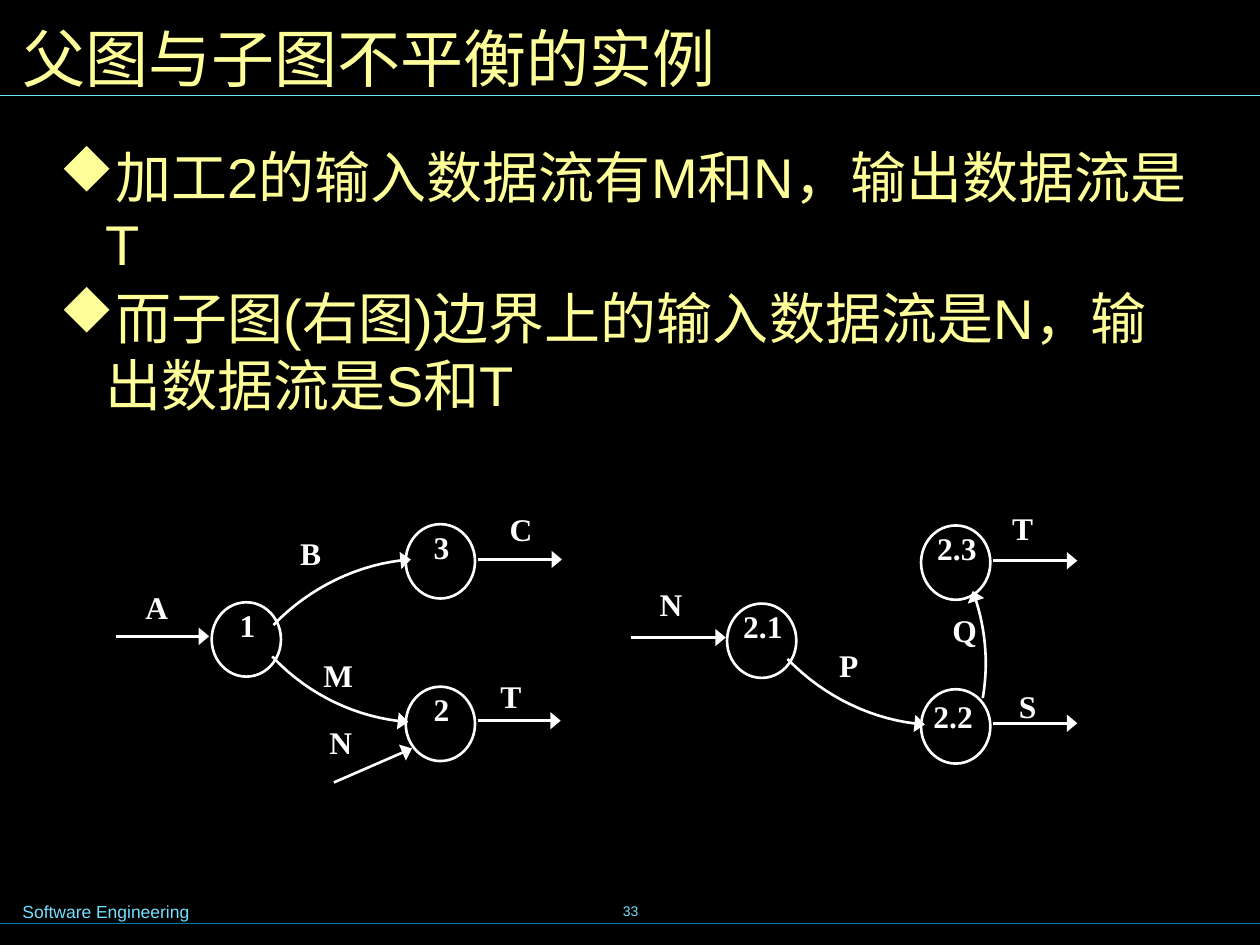
import pptx
import pptx.util
import pptx.dml.color
import pptx.enum.shapes
import pptx.enum.text
import pptx.oxml.ns
from dataclasses import dataclass
from lxml import etree
from pptx.util import Inches

PP_ALIGN = pptx.enum.text.PP_ALIGN
ANCHOR = pptx.enum.text.MSO_ANCHOR
SHAPE = pptx.enum.shapes.MSO_SHAPE
CONNECTOR = pptx.enum.shapes.MSO_CONNECTOR
qn = pptx.oxml.ns.qn


@dataclass(frozen=True)
class Theme:
    background: str = "000000"
    text: str = "FFFF99"
    accent: str = "73E1FF"
    footer_rule: str = "007E9F"
    diagram: str = "FFFFFF"
    title_font: str = "Arial Narrow"
    body_font: str = "Arial"
    label_font: str = "Times New Roman"
    bullet_font: str = "Wingdings"
    title_size: int = 36
    body_size: int = 32
    label_size: int = 18
    footer_size: int = 10
    number_size: int = 8
    rule_width: float = 0.75
    diagram_width: float = 1.5


THEME = Theme()
NODE_W, NODE_H = 0.55, 0.59
DIAMOND = "u"


def rgb(value):
    return pptx.dml.color.RGBColor.from_string(value)


def add_bullet(p, char, color):
    pPr = p._p.get_or_add_pPr()
    pPr.set("marL", str(Inches(0.37)))
    pPr.set("indent", str(-Inches(0.37)))
    clr = etree.SubElement(pPr, qn("a:buClr"))
    etree.SubElement(clr, qn("a:srgbClr"), val=color)
    etree.SubElement(pPr, qn("a:buFont"), typeface=THEME.bullet_font,
                     pitchFamily="2", charset="2")
    etree.SubElement(pPr, qn("a:buChar"), char=char)


def add_text(s, text, left, top, width, height, *, size, font, color, bold=False,
             align=PP_ALIGN.LEFT, anchor=ANCHOR.TOP, inset=0.1, bullet=None, gap=0):
    sp = s.shapes.add_textbox(Inches(left), Inches(top), Inches(width), Inches(height))
    tf = sp.text_frame
    tf.word_wrap = True
    tf.vertical_anchor = anchor
    tf.margin_left = tf.margin_right = Inches(inset)
    tf.margin_top = tf.margin_bottom = Inches(inset / 2)
    for i, line in enumerate(text.split("\n")):
        p = tf.paragraphs[0] if i == 0 else tf.add_paragraph()
        if bullet:
            add_bullet(p, bullet, color)
        p.alignment = align
        if i and gap:
            p.space_before = pptx.util.Pt(gap)
        r = p.add_run()
        r.text = line
        r.font.size = pptx.util.Pt(size)
        r.font.name = font
        r.font.bold = bold
        r.font.color.rgb = rgb(color)


def style_line(sp, color, width, arrow=False):
    sp.line.color.rgb = rgb(color)
    sp.line.width = pptx.util.Pt(width)
    if arrow:
        etree.SubElement(sp.line._get_or_add_ln(), qn("a:tailEnd"),
                         type="triangle", w="lg", len="med")


def add_line(s, x1, y1, x2, y2, color, width, arrow=False):
    c = s.shapes.add_connector(CONNECTOR.STRAIGHT, Inches(x1), Inches(y1),
                               Inches(x2), Inches(y2))
    style_line(c, color, width, arrow)
    etree.SubElement(c._element.spPr, qn("a:effectLst"))


def add_flow(s, x1, y1, x2, y2):
    add_line(s, x1, y1, x2, y2, THEME.diagram, THEME.diagram_width, arrow=True)


def add_curved_flow(s, *controls, steps=16):
    points = []
    for i in range(steps + 1):
        t = i / steps
        weights = ((1 - t) ** 3, 3 * t * (1 - t) ** 2, 3 * t * t * (1 - t), t ** 3)
        points.append(tuple(Inches(sum(w * c[axis] for w, c in zip(weights, controls)))
                            for axis in (0, 1)))
    builder = s.shapes.build_freeform(*points[0])
    builder.add_line_segments(points[1:], close=False)
    sp = builder.convert_to_shape()
    sp.shadow.inherit = False
    sp.fill.background()
    style_line(sp, THEME.diagram, THEME.diagram_width, arrow=True)


def add_label(s, text, left, top, width=0.49, height=0.49):
    add_text(s, text, left, top, width, height, size=THEME.label_size,
             font=THEME.label_font, color=THEME.diagram, bold=True, align=PP_ALIGN.CENTER)


def add_node(s, text, left, top, dx=0, dy=-0.02):
    add_label(s, text, left + dx, top + dy, 0.57, 0.52)
    sp = s.shapes.add_shape(SHAPE.OVAL, Inches(left), Inches(top),
                            Inches(NODE_W), Inches(NODE_H))
    sp.shadow.inherit = False
    sp.fill.background()
    style_line(sp, THEME.diagram, THEME.diagram_width)


def add_frame(s):
    add_text(s, "33", 3.42, 6.98, 3.17, 0.5, size=THEME.number_size, font=THEME.body_font,
             color=THEME.accent, align=PP_ALIGN.CENTER, anchor=ANCHOR.MIDDLE)
    add_line(s, 0, 7.33, 10.04, 7.33, THEME.footer_rule, THEME.rule_width)
    add_line(s, 0, 0.76, 10, 0.76, THEME.accent, THEME.rule_width)
    add_text(s, "Software Engineering", 0.08, 7.1, 2.95, 0.27, size=THEME.footer_size,
             font=THEME.body_font, color=THEME.accent)


def add_parent_diagram(s):
    for text, left, top in (("1", 1.68, 4.78), ("2", 3.22, 5.45), ("3", 3.22, 4.16)):
        add_node(s, text, left, top)
    add_curved_flow(s, (2.17, 4.96), (2.46, 4.66), (2.85, 4.47), (3.26, 4.44))
    add_curved_flow(s, (2.16, 5.21), (2.45, 5.52), (2.84, 5.7), (3.24, 5.73))
    for ends in ((0.92, 5.05, 1.66, 5.05), (2.65, 6.21, 3.27, 5.94),
                 (3.79, 5.72, 4.45, 5.72), (3.79, 4.44, 4.46, 4.44)):
        add_flow(s, *ends)
    for text, left, top in (("A", 1, 4.62), ("B", 2.22, 4.19), ("C", 3.89, 4),
                            ("M", 2.44, 5.16), ("N", 2.46, 5.69), ("T", 3.81, 5.32)):
        add_label(s, text, left, top)


def add_child_diagram(s):
    add_curved_flow(s, (7.8, 5.54), (7.85, 5.25), (7.82, 4.96), (7.72, 4.69))
    add_node(s, "2.1", 5.77, 4.79)
    add_node(s, "2.2", 7.31, 5.47, dx=-0.03, dy=0.01)
    add_node(s, "2.3", 7.31, 4.17)
    add_curved_flow(s, (6.25, 5.23), (6.54, 5.53), (6.93, 5.72), (7.34, 5.75))
    for x1, x2, y in ((5.01, 5.76, 5.06), (7.88, 8.55, 5.74), (7.88, 8.55, 4.45)):
        add_flow(s, x1, y, x2, y)
    for text, left, top in (("N", 5.08, 4.59), ("P", 6.49, 5.08), ("S", 7.91, 5.4),
                            ("T", 7.87, 3.99), ("Q", 7.41, 4.8)):
        add_label(s, text, left, top)


def main():
    prs = pptx.Presentation()
    prs.slide_width, prs.slide_height = Inches(10), Inches(7.5)
    s = prs.slides.add_slide(prs.slide_layouts[6])
    s.background.fill.solid()
    s.background.fill.fore_color.rgb = rgb(THEME.background)
    add_frame(s)
    add_text(s, "父图与子图不平衡的实例", 0.08, 0.08, 9.84, 0.75, size=THEME.title_size,
             font=THEME.title_font, color=THEME.text, anchor=ANCHOR.MIDDLE)
    add_text(s, "加工2的输入数据流有M和N，输出数据流是T\n"
             "而子图(右图)边界上的输入数据流是N，输出数据流是S和T",
             0.35, 1.07, 9.28, 2.67, size=THEME.body_size, font=THEME.body_font,
             color=THEME.text, inset=0.12, bullet=DIAMOND, gap=4)
    add_parent_diagram(s)
    add_child_diagram(s)
    prs.save("out.pptx")


if __name__ == "__main__":
    main()
